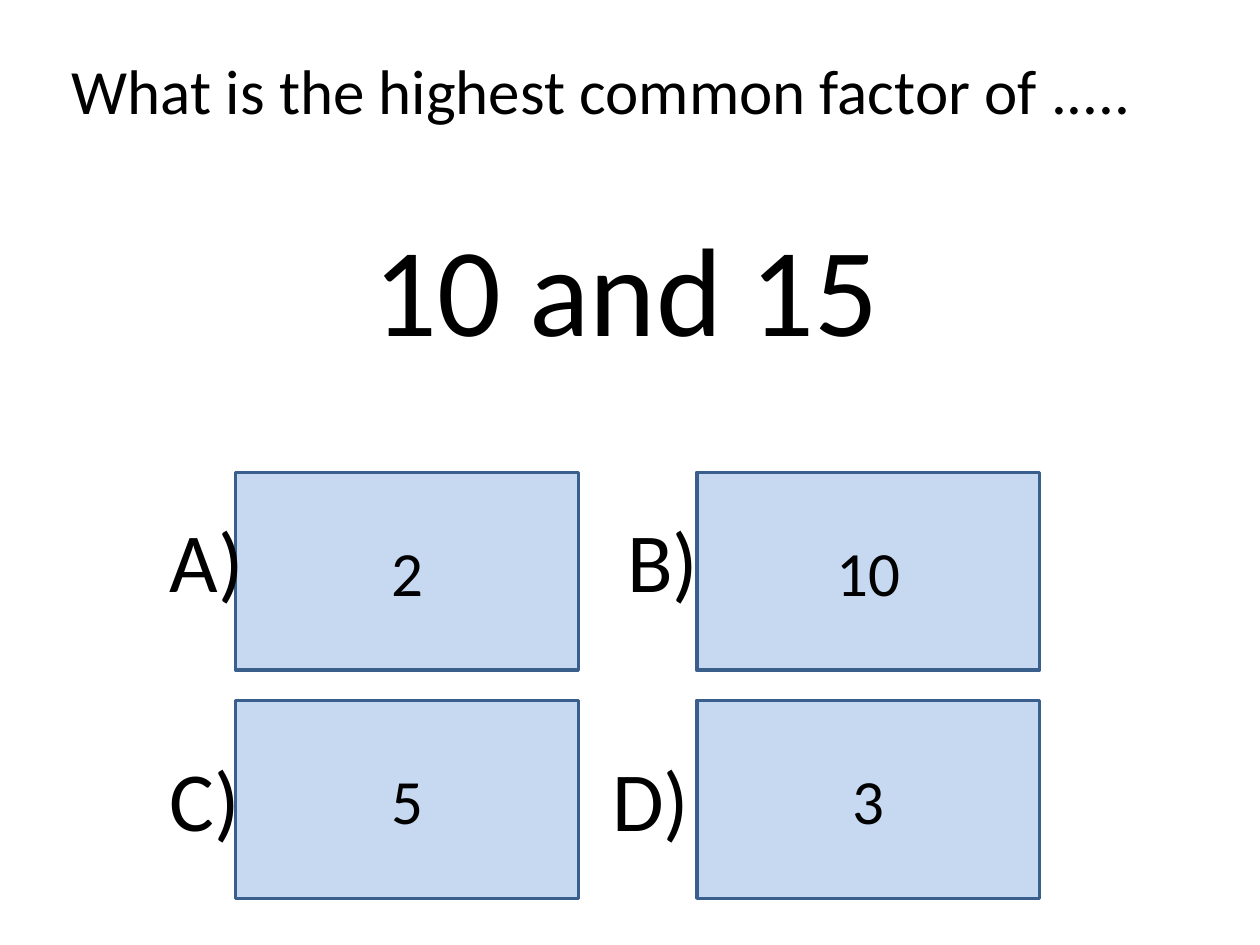
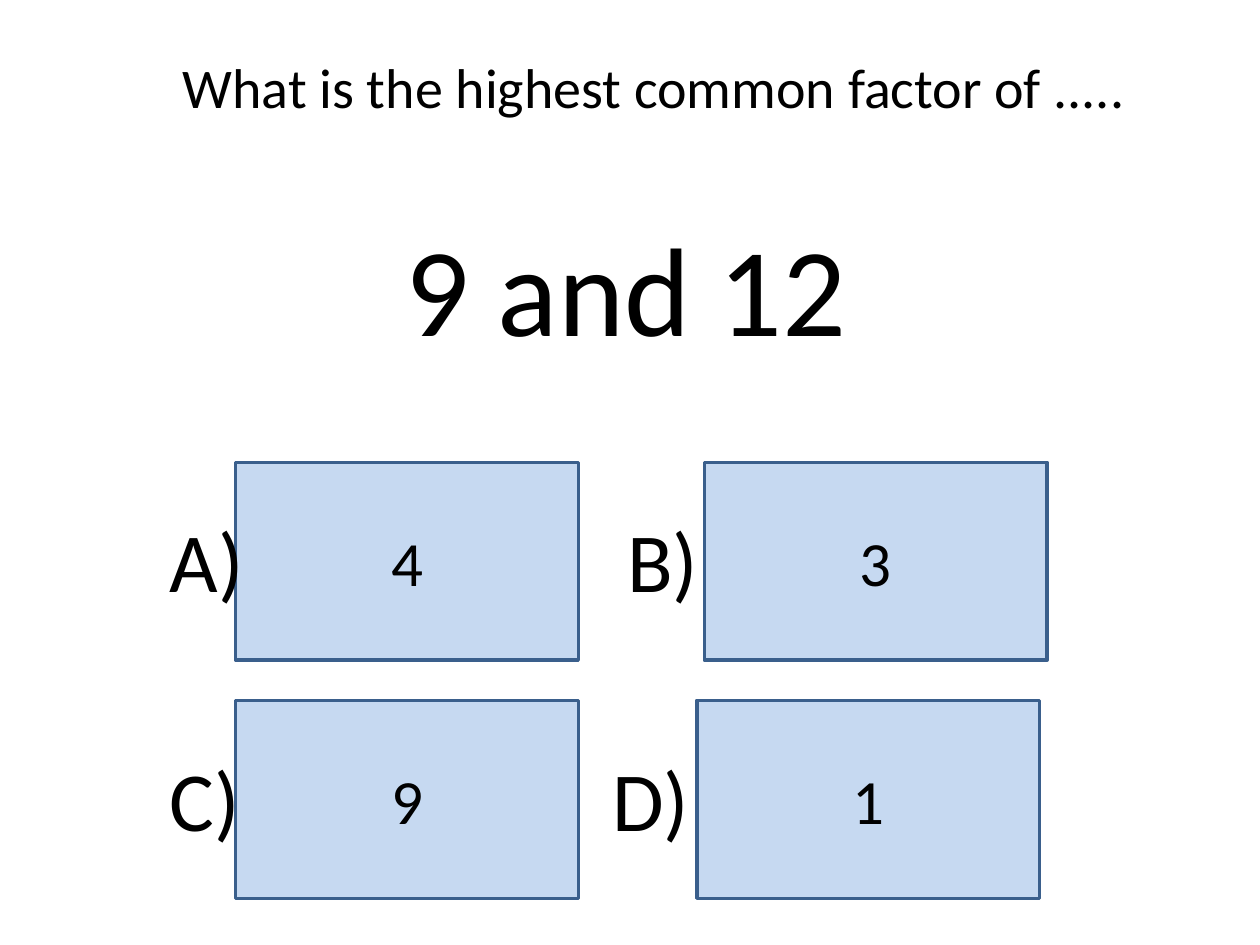
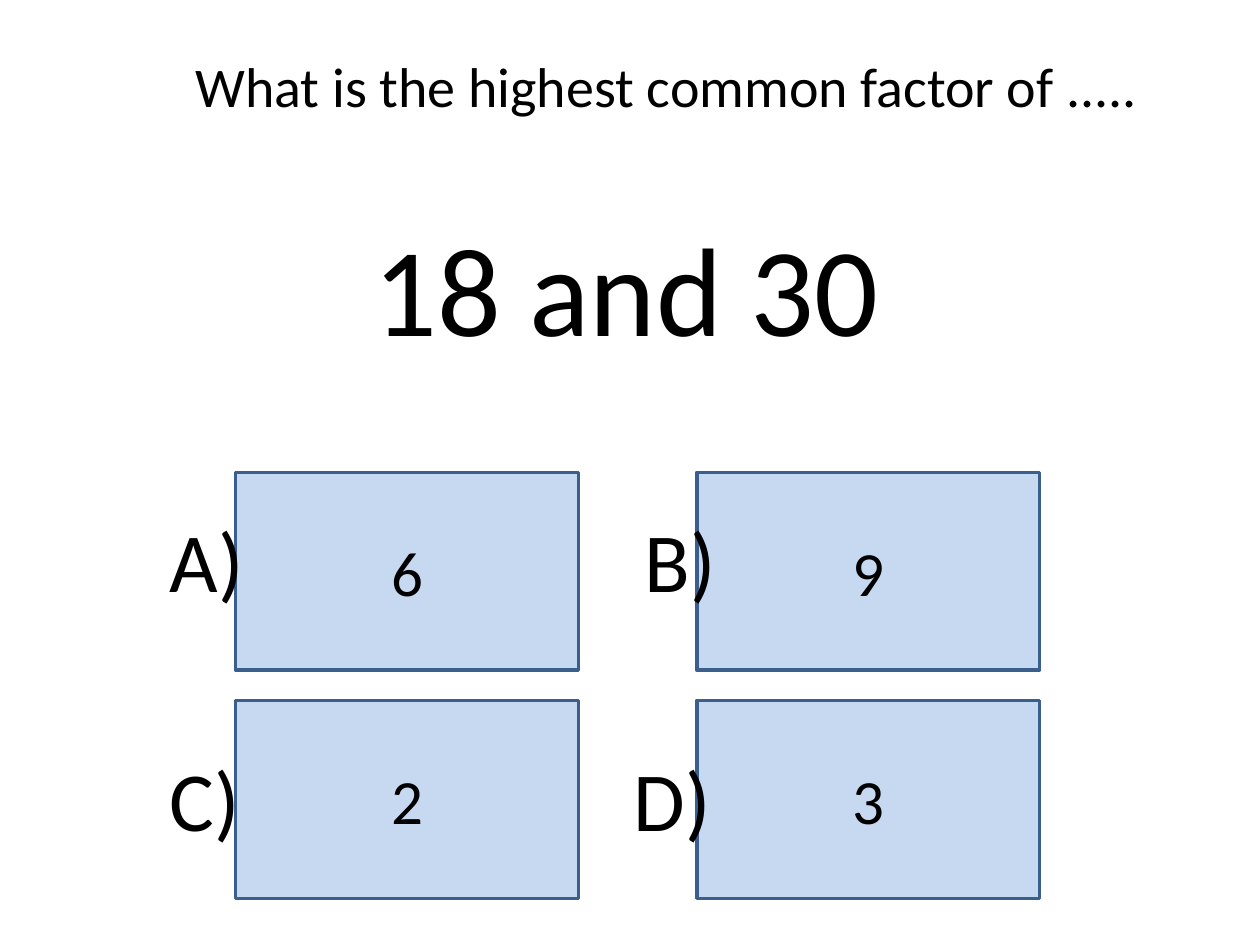
"""Build three multiple-choice slides on highest common factors."""
from pptx import Presentation
from pptx.dml.color import RGBColor
from pptx.enum.shapes import MSO_SHAPE
from pptx.enum.text import MSO_ANCHOR, MSO_AUTO_SIZE, PP_ALIGN
from pptx.util import Inches, Pt

RECT = MSO_SHAPE.RECTANGLE
TOP, MIDDLE = MSO_ANCHOR.TOP, MSO_ANCHOR.MIDDLE
GROW = MSO_AUTO_SIZE.SHAPE_TO_FIT_TEXT
LEFT, CENTER = PP_ALIGN.LEFT, PP_ALIGN.CENTER

FONT = "Calibri"
BLACK = RGBColor(0x00, 0x00, 0x00)
BOX_FILL = RGBColor(0xC6, 0xD9, 0xF1)
BOX_LINE = RGBColor(0x3A, 0x5F, 0x8C)

TITLE_ONLY = 5
QUESTION = "What is the highest common factor of ....."
BOX_W, BOX_H = 2.72, 1.57
COL_X = (1.87, 5.53)
ROW_Y = (3.75, 5.56)
BOX_SPOTS = [(x, y) for y in ROW_Y for x in COL_X]
LABEL_X = (1.25, 4.88, 1.25, 4.76)
LABEL_Y = (3.99, 3.99, 5.88, 5.88)
LABEL_W = (0.79, 0.77, 0.76, 0.82)

SLIDES = [
    dict(numbers="10 and 15", answers=("2", "10", "5", "3"),
         title_at=(0.47, 0.36, 8.82, 0.71), title_size=36),
    dict(numbers="9 and 12", answers=("4", "3", "9", "1"),
         title_at=(1.35, 0.37, 7.84, 0.64),
         box_spots=[(1.87, 3.67), (5.59, 3.67)] + BOX_SPOTS[2:]),
    dict(numbers="18 and 30", answers=("6", "9", "2", "3"),
         title_at=(1.45, 0.36, 7.91, 0.64),
         label_x=(1.25, 5.02, 1.25, 4.93)),
]


def write(tf, text, size, align=LEFT, anchor=TOP, wrap=True):
    """Put one formatted paragraph into a text frame."""
    tf.text = text
    tf.word_wrap = wrap
    tf.vertical_anchor = anchor
    p = tf.paragraphs[0]
    p.alignment = align
    p.font.name = FONT
    p.font.size = Pt(size)
    p.font.color.rgb = BLACK


def add_title(slide, at, size):
    """Place the question in the title placeholder."""
    sp = slide.shapes.title
    sp.left, sp.top, sp.width, sp.height = map(Inches, at)
    write(sp.text_frame, QUESTION, size)
    sp.text_frame.auto_size = GROW


def add_text(slide, text, at, size, align=LEFT, wrap=True):
    """Add a text box that grows with its text."""
    tf = slide.shapes.add_textbox(*map(Inches, at)).text_frame
    write(tf, text, size, align, wrap=wrap)
    tf.auto_size = GROW


def add_answer(slide, text, x, y):
    """Add an answer box."""
    sp = slide.shapes.add_shape(RECT, *map(Inches, (x, y, BOX_W, BOX_H)))
    sp.shadow.inherit = False
    sp.fill.solid()
    sp.fill.fore_color.rgb = BOX_FILL
    sp.line.color.rgb = BOX_LINE
    sp.line.width = Pt(2)
    write(sp.text_frame, text, 36, CENTER, MIDDLE)


def add_question(prs, numbers, answers, title_at, title_size=32,
                 box_spots=BOX_SPOTS, label_x=LABEL_X):
    """Add a slide with a question and four lettered answers."""
    slide = prs.slides.add_slide(prs.slide_layouts[TITLE_ONLY])
    add_title(slide, title_at, title_size)
    for answer, (x, y) in zip(answers, box_spots):
        add_answer(slide, answer, x, y)
    add_text(slide, numbers, (2.46, 1.62, 5.02, 1.31), 72, CENTER)
    for letter, x, y, w in zip("ABCD", label_x, LABEL_Y, LABEL_W):
        add_text(slide, f"{letter})", (x, y, w, 0.91), 48, wrap=False)


def main():
    """Build and save the presentation."""
    prs = Presentation()
    prs.slide_width, prs.slide_height = Inches(10), Inches(7.5)
    for content in SLIDES:
        add_question(prs, **content)
    prs.save("out.pptx")


if __name__ == "__main__":
    main()
